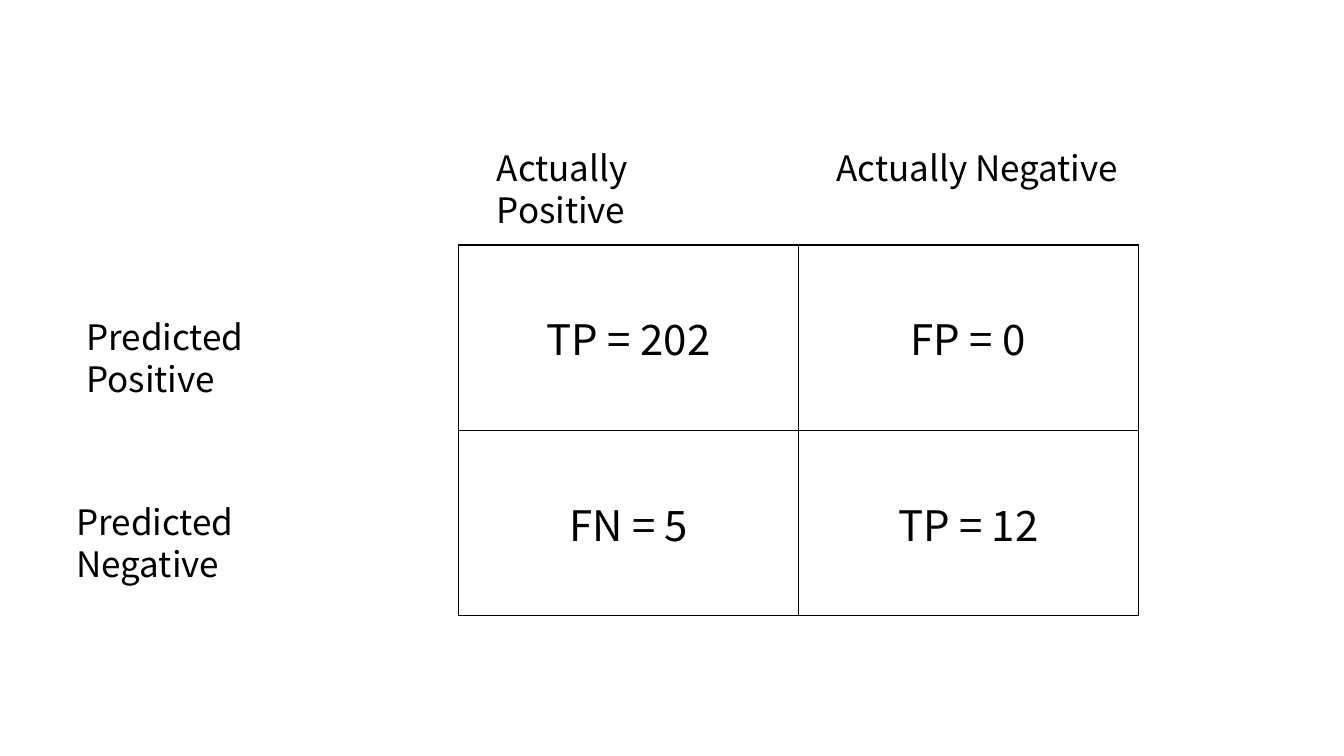
from lxml.etree import SubElement
from pptx import Presentation
from pptx.dml.color import RGBColor
from pptx.enum.text import MSO_ANCHOR, MSO_AUTO_SIZE, PP_ALIGN
from pptx.oxml.ns import qn
from pptx.util import Inches, Pt

COLORS = {"ink": "000000"}
FONT_NAME = "Noto Sans CJK KR"
GRID_LEFT, GRID_TOP = 4.55, 2.43
COLUMN, ROW = 3.37, 1.84
COUNTS = [["TP = 202", "FP = 0"], ["FN = 5", "TP = 12"]]
LABEL_TOP, LABEL_HEIGHT = 1.4, 0.52
ACTUAL_LABELS = [("Actually Positive", 2.77), ("Actually Negative", 2.99)]
PREDICTED_LABELS = [("Predicted Positive", 0.76, 3.01), ("Predicted Negative", 0.66, 3.22)]


def set_all(target, values):
    for name, value in values.items():
        setattr(target, name, value)


def write(paragraph, text, size):
    run = paragraph.add_run()
    run.text = text
    set_all(run.font, {"name": FONT_NAME, "size": Pt(size)})
    run.font.color.rgb = RGBColor.from_string(COLORS["ink"])


def add_borders(cell):
    properties = cell._tc.get_or_add_tcPr()
    for position, side in enumerate(("lnL", "lnR", "lnT", "lnB")):
        line = properties.makeelement(qn(f"a:{side}"), {"w": str(Pt(1))})
        fill = SubElement(line, qn("a:solidFill"))
        SubElement(fill, qn("a:srgbClr"), val=COLORS["ink"])
        properties.insert(position, line)


def add_matrix(slide):
    rows, columns = len(COUNTS), len(COUNTS[0])
    frame = slide.shapes.add_table(
        rows, columns, Inches(GRID_LEFT), Inches(GRID_TOP),
        Inches(columns * COLUMN), Inches(rows * ROW))
    table = frame.table
    set_all(table, {"first_row": False, "horz_banding": False})
    for row, texts in enumerate(COUNTS):
        for column, text in enumerate(texts):
            cell = table.cell(row, column)
            set_all(cell, {
                "vertical_anchor": MSO_ANCHOR.MIDDLE,
                "margin_left": Inches(0.08), "margin_right": Inches(0.08),
                "margin_top": Inches(0.04), "margin_bottom": Inches(0.04)})
            cell.fill.background()
            add_borders(cell)
            paragraph = cell.text_frame.paragraphs[0]
            paragraph.alignment = PP_ALIGN.CENTER
            write(paragraph, text, 30)


def add_label(slide, text, left, top, width):
    box = slide.shapes.add_textbox(
        Inches(left), Inches(top), Inches(width), Inches(LABEL_HEIGHT))
    set_all(box.text_frame, {"word_wrap": True, "auto_size": MSO_AUTO_SIZE.SHAPE_TO_FIT_TEXT})
    write(box.text_frame.paragraphs[0], text, 25)


def main():
    presentation = Presentation()
    set_all(presentation, {"slide_width": Inches(13.33), "slide_height": Inches(7.5)})
    slide = presentation.slides.add_slide(presentation.slide_layouts[6])
    add_matrix(slide)
    for row, (text, left, width) in enumerate(PREDICTED_LABELS):
        add_label(slide, text, left, GRID_TOP + 0.65 + row * ROW, width)
    for column, (text, width) in enumerate(ACTUAL_LABELS):
        add_label(slide, text, GRID_LEFT + 0.28 + column * COLUMN, LABEL_TOP, width)
    presentation.save("out.pptx")


if __name__ == "__main__":
    main()
